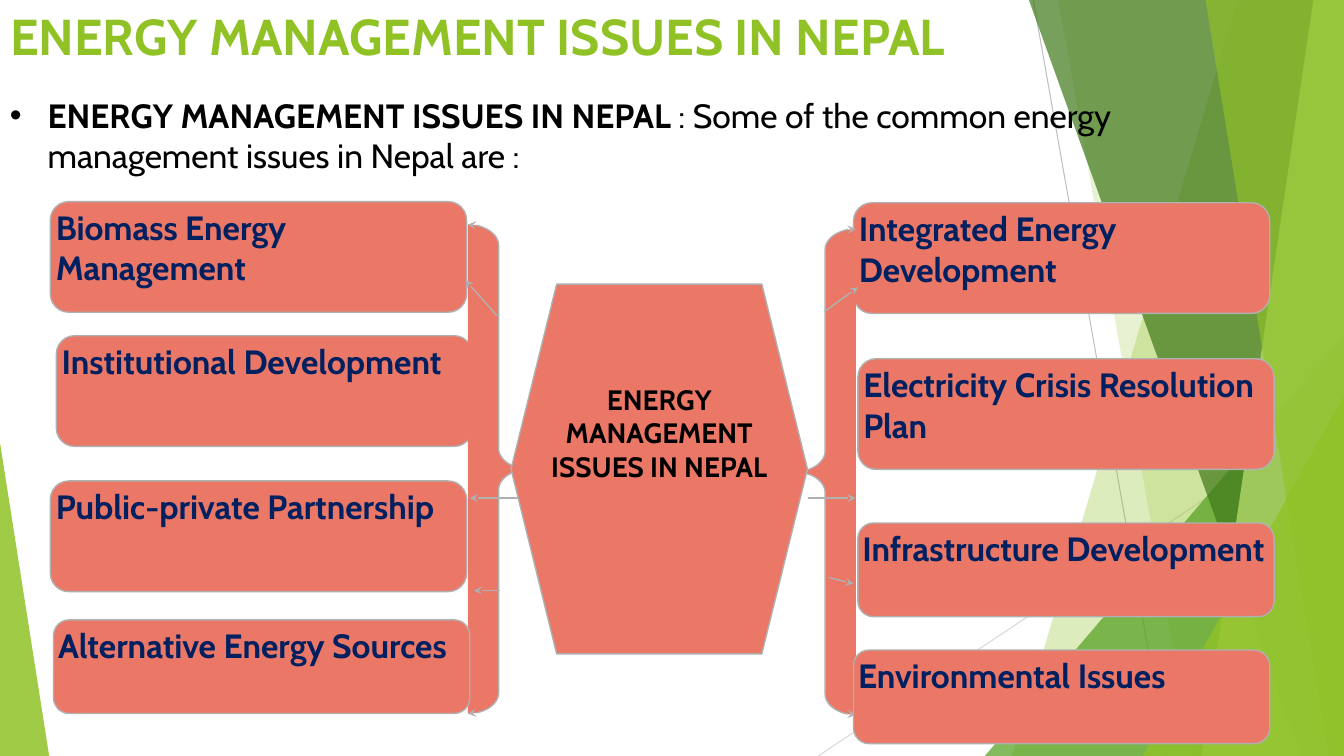
from lxml.etree import SubElement
from pptx import Presentation
from pptx.dml.color import RGBColor
from pptx.enum.shapes import MSO_CONNECTOR as Link, MSO_SHAPE as Shape
from pptx.enum.text import MSO_ANCHOR as Anchor, MSO_AUTO_SIZE as AutoSize, PP_ALIGN as Align
from pptx.oxml.ns import qn
from pptx.util import Cm, Pt

WIDTH, HEIGHT = 33.87, 19.05
CARD_WIDTH, TALL, SHORT = 10.49, 2.79, 2.36
LIME, SALMON, GREY, NAVY, BLACK = "90C226", "EB7766", "B0B0B0", "002060", "000000"
HEADING = "ENERGY MANAGEMENT ISSUES IN NEPAL"

BANDS = [
    (31.19, 25.5, LIME, 30),
    (26.67, 30.05, LIME, 20),
    (25.93, 32.79, "3F7819", 70),
    (33.1, 30.28, "C0E474", 70),
    (30.38, 33.48, LIME, 65),
]
BACK_CARDS = [
    (1.27, 5.08, TALL, "Biomass Energy Management"),
    (1.42, 8.46, TALL, "Institutional Development"),
    (21.51, 5.11, TALL, "Integrated Energy Development"),
    (1.27, 12.12, TALL, "Public-private Partnership"),
    (21.62, 9.04, TALL, "Electricity Crisis Resolution Plan"),
]
FRONT_CARDS = [
    (1.35, 15.62, SHORT, "Alternative Energy Sources"),
    (21.62, 13.18, SHORT, "Infrastructure Development"),
    (21.51, 16.38, SHORT, "Environmental Issues"),
]
ARROWS = [
    (12.52, 7.95, 11.73, 7.06),
    (20.78, 7.85, 21.62, 7.24),
    (13.06, 12.55, 11.84, 12.55),
    (12.6, 14.88, 11.94, 14.88),
    (20.35, 12.55, 21.56, 12.55),
    (20.88, 14.55, 21.51, 14.71),
]


def colour(value):
    return RGBColor.from_string(value)


class Painter:
    """Draws styled elements on the current page."""

    def __init__(self, page, font="Cabin"):
        self.page = page
        self.font = font

    def span(self, para, text, size, shade, bold=True):
        run = para.add_run()
        run.text = text
        run.font.name = self.font
        run.font.size = Pt(size)
        run.font.bold = bold
        run.font.color.rgb = colour(shade)

    def frame(self, box, anchor=Anchor.TOP, inset=None):
        frame = box.text_frame
        frame.word_wrap = True
        frame.auto_size = AutoSize.NONE
        frame.vertical_anchor = anchor
        if inset is not None:
            frame.margin_left = frame.margin_right = Cm(inset)
            frame.margin_top = frame.margin_bottom = Cm(inset)
        return frame

    def paint(self, shape, fill, opacity=100, outline=None):
        shape.shadow.inherit = False
        shape.fill.solid()
        shape.fill.fore_color.rgb = colour(fill)
        if opacity < 100:
            tint = next(shape.element.spPr.iter(qn("a:srgbClr")))
            SubElement(tint, qn("a:alpha"), val=str(opacity * 1000))
        if outline:
            shape.line.color.rgb = colour(outline)
            shape.line.width = Pt(1)
        else:
            shape.line.fill.background()

    def arrowheads(self, shape, *ends):
        line = shape.element.spPr.find(qn("a:ln"))
        for end in ends:
            SubElement(line, qn(end), type="stealth")

    def title(self, text):
        box = self.page.shapes.title
        box.left, box.top, box.width, box.height = Cm(0), Cm(0), Cm(29.46), Cm(2.26)
        para = self.frame(box).paragraphs[0]
        para.alignment = Align.LEFT
        self.span(para, text, 36, LIME)

    def bullet(self, left, top, width, height, lead, rest):
        box = self.page.shapes.add_textbox(Cm(left), Cm(top), Cm(width), Cm(height))
        para = self.frame(box).paragraphs[0]
        props = para._p.get_or_add_pPr()
        props.set("marL", str(Cm(0.95)))
        props.set("indent", str(-Cm(0.95)))
        SubElement(props, qn("a:buFont"), typeface="Arial")
        SubElement(props, qn("a:buChar"), char="•")
        self.span(para, lead, 24, BLACK)
        self.span(para, rest, 24, BLACK, bold=False)

    def shape(self, kind, left, top, width, height, fill, opacity=100, outline=None, adjust=None):
        shape = self.page.shapes.add_shape(kind, Cm(left), Cm(top), Cm(width), Cm(height))
        if adjust is not None:
            shape.adjustments[0] = adjust
        self.paint(shape, fill, opacity, outline)
        return shape

    def band(self, top_x, bottom_x, fill, opacity):
        builder = self.page.shapes.build_freeform(Cm(top_x), Cm(0))
        corners = [(WIDTH, 0), (WIDTH, HEIGHT), (bottom_x, HEIGHT)]
        builder.add_line_segments([(Cm(x), Cm(y)) for x, y in corners])
        self.paint(builder.convert_to_shape(), fill, opacity)

    def card(self, left, top, height, text):
        box = self.shape(Shape.ROUNDED_RECTANGLE, left, top, CARD_WIDTH, height, SALMON, outline=GREY)
        para = self.frame(box, inset=0).paragraphs[0]
        para.alignment = Align.LEFT
        self.span(para, text, 24, NAVY)

    def brace(self, left, top, height, rotation=0):
        brace = self.shape(Shape.LEFT_BRACE, left, top, 1.55, height, SALMON, outline=GREY, adjust=0.337)
        brace.rotation = rotation
        self.arrowheads(brace, "a:headEnd", "a:tailEnd")

    def hub(self, text):
        box = self.shape(Shape.HEXAGON, 12.88, 7.16, 7.47, 9.32, SALMON, outline=GREY, adjust=0.154)
        frame = self.frame(box, Anchor.MIDDLE, 0)
        frame.margin_bottom = Cm(1.83)
        para = frame.paragraphs[0]
        para.alignment = Align.CENTER
        self.span(para, text, 20, BLACK)

    def line(self, x1, y1, x2, y2, shade, width):
        line = self.page.shapes.add_connector(Link.STRAIGHT, Cm(x1), Cm(y1), Cm(x2), Cm(y2))
        line.line.color.rgb = colour(shade)
        line.line.width = Pt(width)
        SubElement(line.element.spPr, qn("a:effectLst"))
        return line

    def arrow(self, x1, y1, x2, y2):
        self.arrowheads(self.line(x1, y1, x2, y2, GREY, 1), "a:tailEnd")


def main():
    deck = Presentation()
    deck.slide_width, deck.slide_height = Cm(WIDTH), Cm(HEIGHT)
    painter = Painter(deck.slides.add_slide(deck.slide_layouts[5]))

    painter.line(26.04, 0, 29.41, HEIGHT, "BFBFBF", 0.75)
    painter.line(WIDTH, 10.24, 20.62, HEIGHT, "D9D9D9", 0.75)
    for band in BANDS[:2]:
        painter.band(*band)
    painter.shape(Shape.ISOSCELES_TRIANGLE, 24.82, 8.46, 9.05, 10.59, "54A021", 72, adjust=1)
    for band in BANDS[2:]:
        painter.band(*band)
    painter.shape(Shape.ISOSCELES_TRIANGLE, 28.8, 9.98, 5.07, 9.07, LIME, 80, adjust=1)
    painter.shape(Shape.ISOSCELES_TRIANGLE, 0, 11.15, 1.24, 7.9, LIME, 85, adjust=0)

    painter.title(HEADING)
    for card in BACK_CARDS:
        painter.card(*card)
    painter.brace(11.79, 5.66, 12.32, rotation=180)
    painter.brace(20.02, 5.77, 12.24)
    painter.hub(HEADING)
    for card in FRONT_CARDS:
        painter.card(*card)
    for arrow in ARROWS:
        painter.arrow(*arrow)
    painter.bullet(0, 2.26, 32.23, 2.31, HEADING + " ",
                   ": Some of the common energy management issues in Nepal are :")
    deck.save("out.pptx")


if __name__ == "__main__":
    main()
